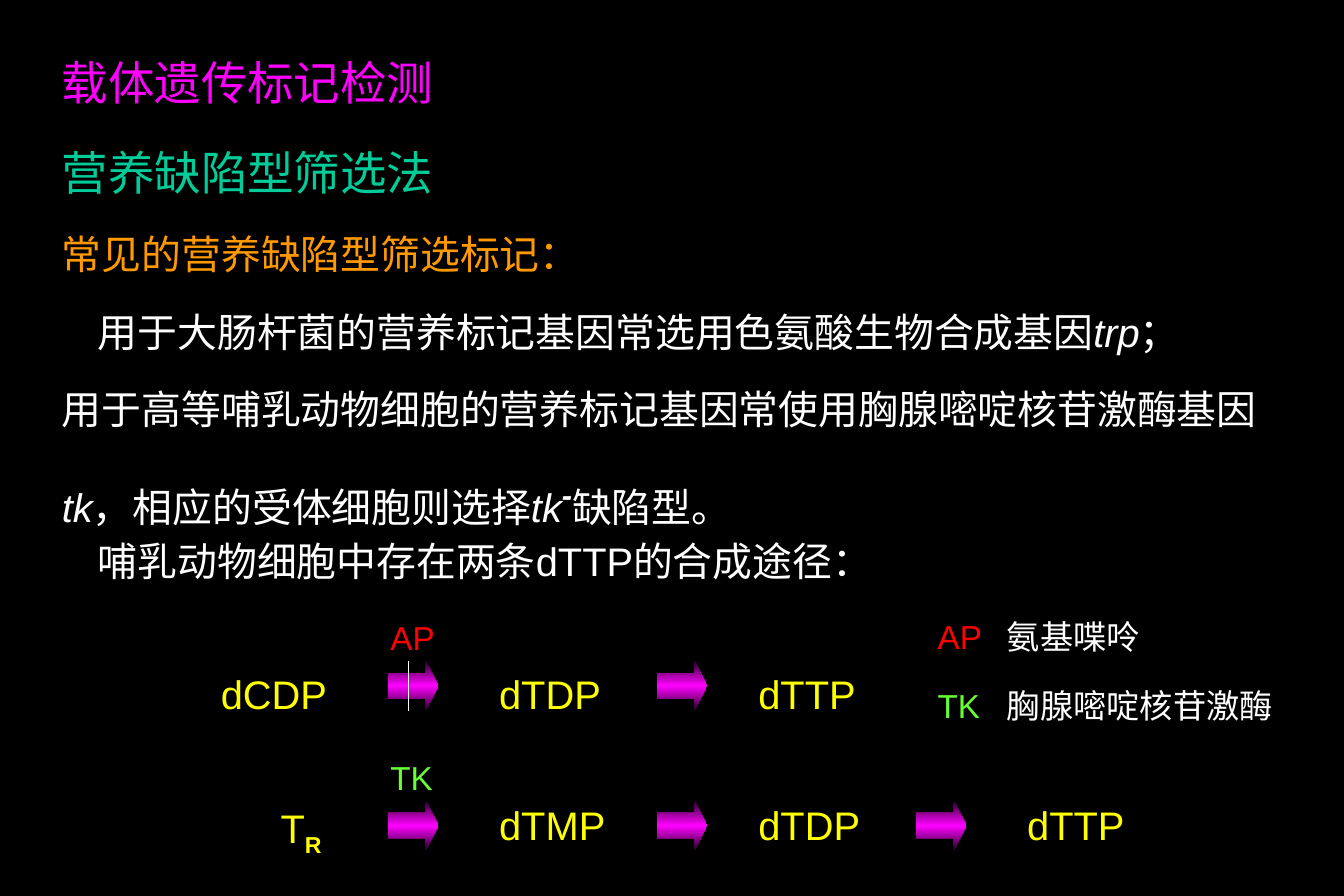
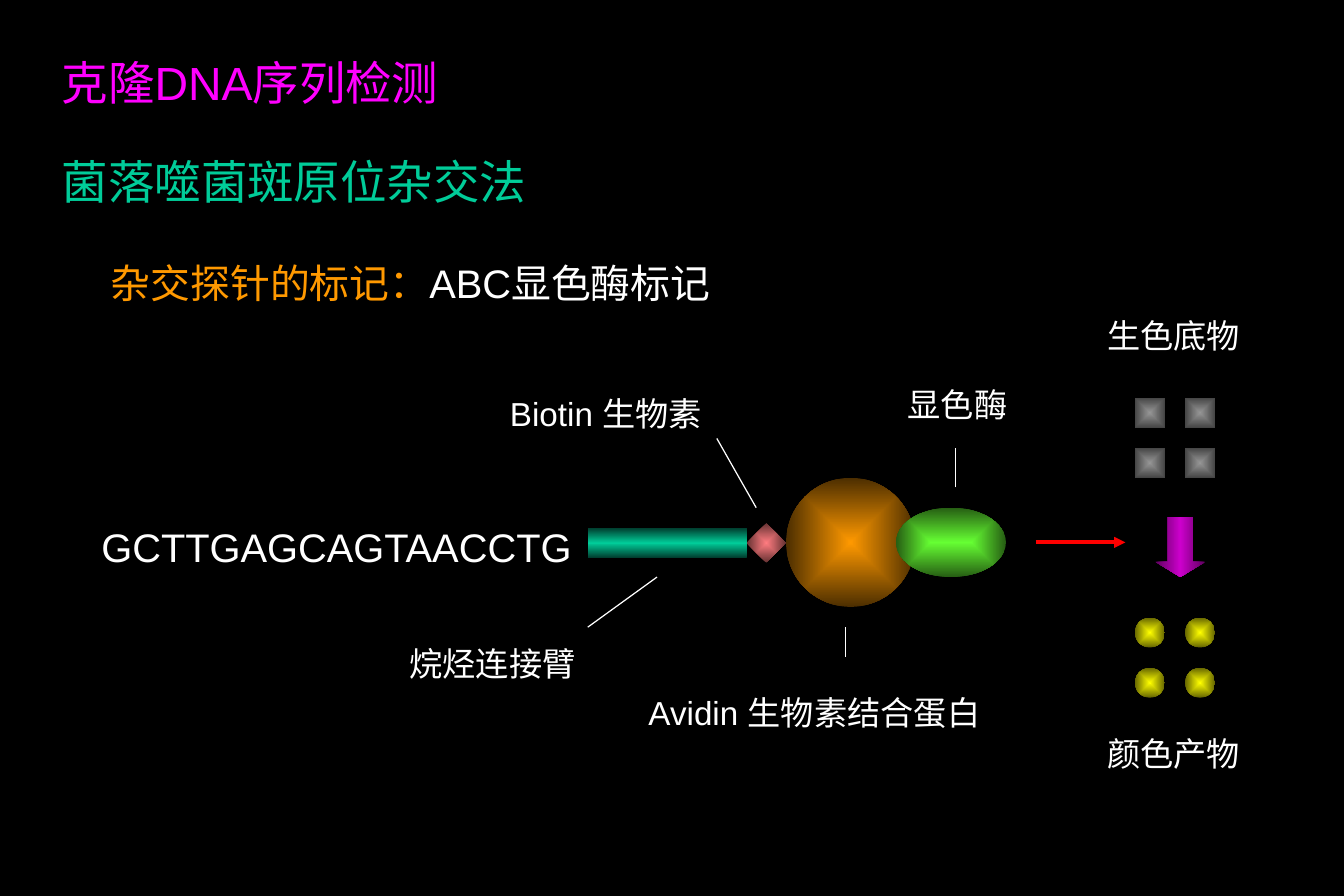
from dataclasses import dataclass
from typing import Optional

from lxml.etree import SubElement
from pptx import Presentation
from pptx.dml.color import RGBColor
from pptx.enum.shapes import MSO_CONNECTOR, MSO_SHAPE
from pptx.oxml import parse_xml
from pptx.oxml.ns import nsdecls, qn
from pptx.util import Inches, Pt

# Shared style
LATIN, CJK, SERIF = "Arial", "Noto Sans CJK SC", "Times New Roman"
BLACK, WHITE, RED, YELLOW = "000000", "FFFFFF", "FF0000", "FFFF00"
MAGENTA, TEAL, ORANGE, GREEN = "FF00FF", "00CC99", "FF9900", "66FF33"
TITLE, BODY, LABEL = 28, 24, 20
MARGIN = 0.42


@dataclass
class Run:
    text: str
    color: str = WHITE
    font: str = LATIN
    size: Optional[int] = None
    bold: bool = False
    italic: bool = False
    baseline: int = 0


def rgb(value):
    return RGBColor.from_string(value)


def add_text(slide, box, runs, size=BODY, indent=0, tab=None):
    """Text box holding one paragraph at 1.5 line spacing."""
    tf = slide.shapes.add_textbox(*map(Inches, box)).text_frame
    tf.word_wrap = True
    p = tf.paragraphs[0]
    p.line_spacing = 1.5
    pPr = p._p.get_or_add_pPr()
    if indent:
        pPr.set("marL", "0")
        pPr.set("indent", str(Inches(indent)))
    if tab:
        tabs = SubElement(pPr, qn("a:tabLst"))
        SubElement(tabs, qn("a:tab"), pos=str(Inches(tab)), algn="l")
    for run in runs:
        r = p.add_run()
        r.text = run.text
        f = r.font
        f.name, f.size = run.font, Pt(run.size or size)
        f.bold, f.italic = run.bold, run.italic
        f.color.rgb = rgb(run.color)
        rPr = r._r.get_or_add_rPr()
        SubElement(rPr, qn("a:ea"), typeface=CJK)
        if run.baseline:
            rPr.set("baseline", str(run.baseline * 1000))


def add_gradient_shape(slide, kind, box, colors, angle=None):
    """Borderless shape; without an angle the gradient runs from the centre."""
    sp = slide.shapes.add_shape(kind, *map(Inches, box))
    sp.shadow.inherit = False
    sp.line.fill.background()
    last = len(colors) - 1
    stops = "".join(
        f'<a:gs pos="{100000 * i // last}"><a:srgbClr val="{c}"/></a:gs>'
        for i, c in enumerate(colors))
    if angle is None:
        way = ('<a:path path="rect"><a:fillToRect l="50000" t="50000" '
               'r="50000" b="50000"/></a:path>')
    else:
        way = f'<a:lin ang="{angle * 60000}" scaled="1"/>'
    fill = parse_xml(f'<a:gradFill {nsdecls("a")} rotWithShape="0">'
                     f'<a:gsLst>{stops}</a:gsLst>{way}</a:gradFill>')
    sp._element.spPr.find(qn("a:prstGeom")).addnext(fill)
    return sp


def add_line(slide, start, end, color=WHITE, width=0.75, arrow=False):
    line = slide.shapes.add_connector(
        MSO_CONNECTOR.STRAIGHT, *map(Inches, start + end))
    line.line.color.rgb = rgb(color)
    line.line.width = Pt(width)
    if arrow:
        SubElement(line.line._get_or_add_ln(), qn("a:tailEnd"), type="triangle")
    SubElement(line._element.spPr, qn("a:effectLst"))


def add_headings(slide, title, subtitle, subtitle_top):
    add_text(slide, (MARGIN, 0.17, 4, 0.92), [Run(title, MAGENTA)], TITLE)
    add_text(slide, (MARGIN, subtitle_top, 4.25, 0.77),
             [Run(subtitle, TEAL)], TITLE)


def add_pathway(slide, left, top, names_dy, start, start_dx, enzyme, steps):
    """Row of arrows; each step is (arrow offset, name offset, name)."""
    names = [(start_dx, start)]
    for arrow_dx, name_dx, name in steps:
        arrow = add_gradient_shape(
            slide, MSO_SHAPE.RIGHT_ARROW, (left + arrow_dx, top, 0.42, 0.42),
            ["220022", MAGENTA, "220022"], 90)
        arrow.adjustments[0], arrow.adjustments[1] = 0.5, 0.25
        names.append((name_dx, [Run(name, YELLOW)]))
    for dx, runs in names:
        add_text(slide, (left + dx, top + names_dy, 1.17, 0.77), runs)
    add_text(slide, (left - 0.08, top - 0.58, 0.58, 0.67), [enzyme], LABEL)


def add_legend(slide, left, top, entries):
    for i, (key, meaning) in enumerate(entries):
        add_text(slide, (left, top + i * 0.58, 3.08, 0.67),
                 [Run(key.text + "\t", key.color), Run(meaning, font=CJK)],
                 LABEL, tab=0.58)


def add_four(slide, kind, left, top, colors):
    """Two by two group of small shapes."""
    for i in range(4):
        row, col = divmod(i, 2)
        add_gradient_shape(slide, kind, (left + col * 0.42, top + row * 0.42,
                                         0.25, 0.25), colors)


def add_probe(slide, left, top):
    """Sequence, linker, biotin, avidin and enzyme, with callouts."""
    add_text(slide, (left, top + 0.13, 4.17, 0.83), [Run("GCTTGAGCAGTAACCTG")])
    parts = [
        (MSO_SHAPE.OVAL, (5.83, 0, 1.08, 1.08), [ORANGE, "4C2E00"], None),
        (MSO_SHAPE.DIAMOND, (5.5, 0.38, 0.33, 0.33), ["FF7C80", "663233"], None),
        (MSO_SHAPE.RECTANGLE, (4.17, 0.42, 1.33, 0.25),
         ["003D2E", TEAL, "003D2E"], 90),
        (MSO_SHAPE.OVAL, (6.75, 0.25, 0.92, 0.58), [GREEN, "265E13"], None),
    ]
    for kind, (dx, dy, w, h), colors, angle in parts:
        add_gradient_shape(slide, kind, (left + dx, top + dy, w, h),
                           colors, angle)
    callouts = [
        ("Biotin 生物素", (3.42, -0.92, 1.92), (5.58, 0.25), (5.25, -0.33)),
        ("显色酶", (6.75, -1, 1.42), (7.25, 0.08), (7.25, -0.25)),
        ("Avidin 生物素结合蛋白", (4.58, 1.58, 3), (6.33, 1.25), (6.33, 1.5)),
        ("烷烃连接臂", (2.58, 1.17, 1.83), (4.75, 0.83), (4.17, 1.25)),
    ]
    for text, (dx, dy, w), (x1, y1), (x2, y2) in callouts:
        add_text(slide, (left + dx, top + dy, w, 0.83), [Run(text)], LABEL)
        add_line(slide, (left + x1, top + y1), (left + x2, top + y2))


def add_color_reaction(slide, left, top):
    """Substrate turning into coloured product, read downwards."""
    for text, dy in (("生色底物", 0), ("颜色产物", 3.5)):
        add_text(slide, (left, top + dy, 1.42, 0.83), [Run(text)], LABEL)
    add_four(slide, MSO_SHAPE.RECTANGLE, left + 0.33, top + 0.91,
             ["969696", "454545"])
    arrow = add_gradient_shape(
        slide, MSO_SHAPE.DOWN_ARROW, (left + 0.5, top + 1.91, 0.42, 0.5),
        ["5E005E", "CC00CC", "5E005E"], 0)
    arrow.adjustments[0], arrow.adjustments[1] = 0.5, 0.3
    add_four(slide, MSO_SHAPE.OVAL, left + 0.33, top + 2.75,
             [YELLOW, "666600"])
    add_line(slide, (left - 0.5, top + 2.12), (left + 0.25, top + 2.12),
             RED, 2.25, arrow=True)


def build_marker_slide(slide):
    add_headings(slide, "载体遗传标记检测", "营养缺陷型筛选法", 0.92)
    # Body lines: top, first-line indent, runs
    lines = [
        (1.67, 0, [Run("常见的营养缺陷型筛选标记：", ORANGE, CJK)]),
        (2.33, 0.3, [
            Run("用于大肠杆菌的营养标记基因常选用色氨酸生物合成基因", font=CJK),
            Run("trp", italic=True), Run("；")]),
        (2.97, 0, [Run("用于高等哺乳动物细胞的营养标记基因常使用胸腺嘧啶核苷激酶基因",
                       font=CJK)]),
        (3.61, 0, [
            Run("tk", italic=True), Run("，相应的受体细胞则选择", font=CJK),
            Run("tk", italic=True),
            Run("-", size=32, bold=True, italic=True, baseline=30),
            Run("缺陷型。", font=CJK)]),
        (4.24, 0.3, [Run("哺乳动物细胞中存在两条", font=CJK), Run("dTTP"),
                     Run("的合成途径：", font=CJK)]),
    ]
    for top, indent, runs in lines:
        add_text(slide, (MARGIN, top, 10.41, 0.77), runs, indent=indent)
    # Two synthesis pathways
    ap, tk = Run("AP", RED), Run("TK", GREEN)
    left = 3.25
    add_pathway(slide, left, 5.53, -0.17, [Run("dCDP", YELLOW)], -1.5, ap,
                [(0, 0.83, "dTDP"), (2.25, 3, "dTTP")])
    add_line(slide, (left + 0.17, 5.53), (left + 0.17, 5.95))
    add_pathway(slide, left, 6.7, -0.25,
                [Run("T", YELLOW), Run("R", YELLOW, bold=True, baseline=-25)],
                -1, tk, [(0, 0.83, "dTMP"), (2.25, 3, "dTDP"),
                         (4.42, 5.25, "dTTP")])
    add_legend(slide, 7.75, 4.94, [(ap, "氨基喋呤"), (tk, "胸腺嘧啶核苷激酶")])


def build_probe_slide(slide):
    add_headings(slide, "克隆DNA序列检测", "菌落噬菌斑原位杂交法", 1)
    add_text(slide, (0.83, 1.92, 5.67, 0.83),
             [Run("杂交探针的标记：", ORANGE, SERIF), Run("ABC显色酶标记")])
    add_probe(slide, 0.75, 4)
    add_color_reaction(slide, 9.17, 2.42)


def main():
    prs = Presentation()
    prs.slide_width, prs.slide_height = Inches(11.25), Inches(7.5)
    background = prs.slide_master.background.fill
    background.solid()
    background.fore_color.rgb = rgb(BLACK)
    for build in (build_marker_slide, build_probe_slide):
        build(prs.slides.add_slide(prs.slide_layouts[6]))
    prs.save("out.pptx")


if __name__ == "__main__":
    main()
